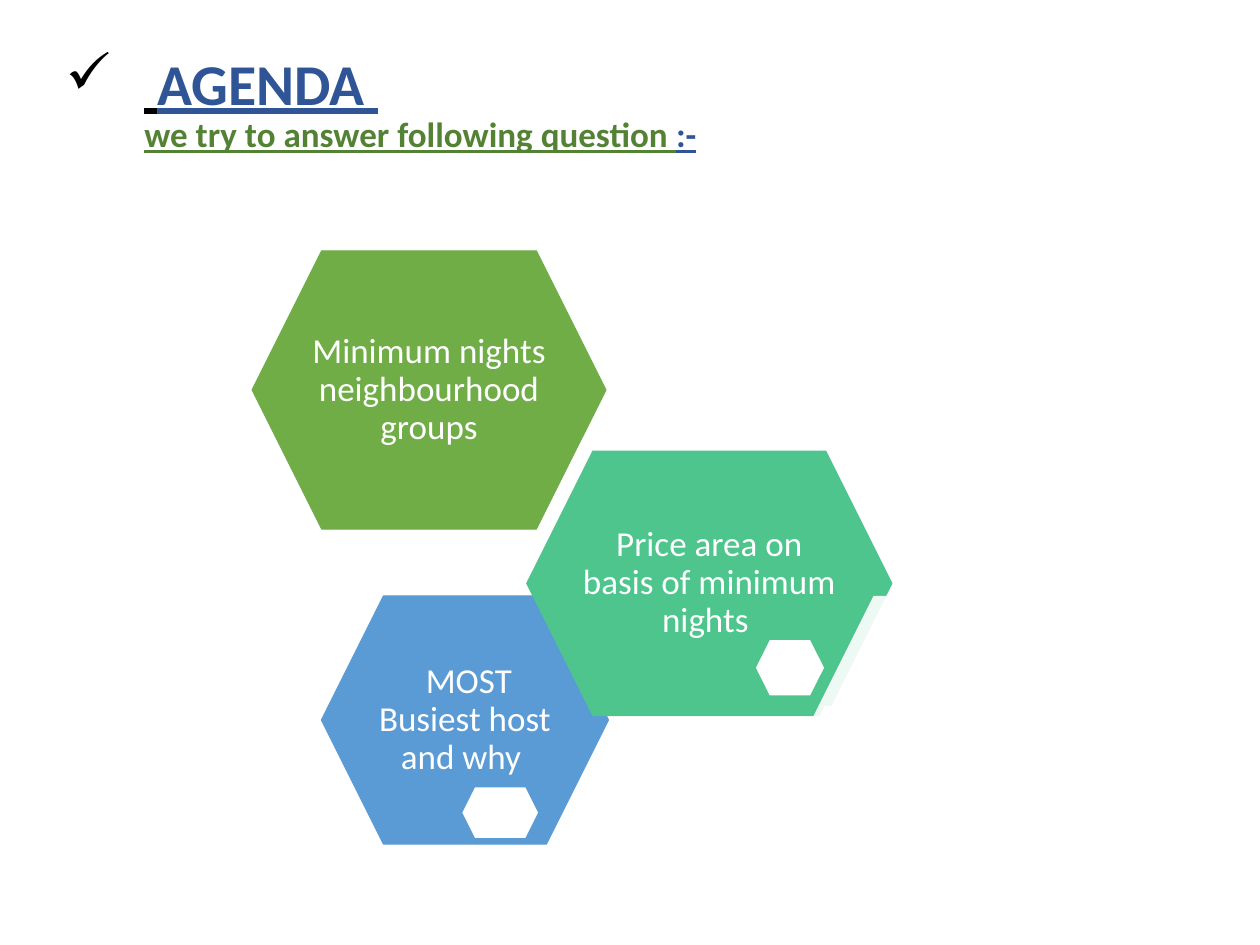
"""Build the agenda slide with its cluster of question hexagons."""
from dataclasses import dataclass

from lxml.etree import SubElement
from pptx import Presentation
from pptx.dml.color import RGBColor
from pptx.dml.fill import FillFormat
from pptx.enum.shapes import MSO_SHAPE
from pptx.enum.text import MSO_ANCHOR, MSO_AUTO_SIZE, PP_ALIGN
from pptx.oxml.ns import qn
from pptx.slide import Slide
from pptx.util import Pt

FONT = "Calibri"
WHITE = "FFFFFF"
NAVY = "2F5597"
GREEN = "548235"


@dataclass(frozen=True)
class Hexagon:
    left: float
    top: float
    width: float
    height: float
    color: str = WHITE
    question: str = ""
    opacity: int = 100


@dataclass(frozen=True)
class Phrase:
    wording: str
    size: int
    color: str


HEXAGONS = [
    Hexagon(183.6, 340.56, 164.16, 141.84, "5B9BD5", " MOST Busiest host and why "),
    Hexagon(264.24, 450, 43.2, 28.8),
    Hexagon(300.96, 257.76, 208.8, 151.2, "4DC58D", "Price area on basis of minimum nights "),
    Hexagon(432, 365.76, 38.88, 31.68),
    Hexagon(463.68, 340.56, 164.16, 141.84, opacity=90),
    Hexagon(467.28, 403.2, 19.44, 16.56),
    Hexagon(144, 143.28, 202.32, 159.12, "70AD47", "Minimum nights neighbourhood groups"),
]

HEADING = [
    Phrase(" ", 33, "000000"),
    Phrase("AGENDA ", 33, NAVY),
    Phrase("we try to answer following question ", 20, GREEN),
    Phrase(":-", 20, NAVY),
]


def rgb(color: str) -> RGBColor:
    return RGBColor.from_string(color)


def paint(fill: FillFormat, color: str) -> None:
    fill.solid()
    fill.fore_color.rgb = rgb(color)


def draw_hexagon(slide: Slide, hexagon: Hexagon) -> None:
    shape = slide.shapes.add_shape(
        MSO_SHAPE.HEXAGON,
        Pt(hexagon.left), Pt(hexagon.top), Pt(hexagon.width), Pt(hexagon.height),
    )
    shape.adjustments[0] = 0.25
    shape.shadow.inherit = False
    paint(shape.fill, hexagon.color)
    if hexagon.opacity < 100:
        tint = shape.fill._xPr.find(".//" + qn("a:srgbClr"))
        SubElement(tint, qn("a:alpha"), val=str(hexagon.opacity * 1000))
    if not hexagon.question:
        shape.line.fill.background()
        return
    paint(shape.line.fill, hexagon.color)
    shape.line.width = Pt(0.5)
    frame = shape.text_frame
    frame.word_wrap = True
    frame.vertical_anchor = MSO_ANCHOR.MIDDLE
    frame.margin_left = frame.margin_right = 0
    frame.margin_top = frame.margin_bottom = Pt(2)
    question = frame.paragraphs[0]
    question.text = hexagon.question
    question.alignment = PP_ALIGN.CENTER
    question.line_spacing = 0.9
    question.font.name = FONT
    question.font.size = Pt(20)
    question.font.color.rgb = rgb(WHITE)


def write_heading(slide: Slide) -> None:
    title = slide.shapes.title
    title.left, title.top, title.width, title.height = Pt(30.24), Pt(12.24), Pt(414), Pt(95.76)
    frame = title.text_frame
    frame.auto_size = MSO_AUTO_SIZE.NONE
    frame.word_wrap = True
    frame.vertical_anchor = MSO_ANCHOR.MIDDLE
    heading = frame.paragraphs[0]
    heading.alignment = PP_ALIGN.LEFT
    properties = heading._p.get_or_add_pPr()
    properties.set("marL", str(Pt(45)))
    properties.set("indent", str(Pt(-45)))
    SubElement(properties, qn("a:buChar"), char="✓")
    heading.line_spacing = 0.9
    heading.font.name = FONT
    heading.font.bold = True
    heading.font.underline = True
    for phrase in HEADING:
        if phrase.color == GREEN:
            heading.add_line_break()
        run = heading.add_run()
        run.text = phrase.wording
        run.font.size = Pt(phrase.size)
        run.font.color.rgb = rgb(phrase.color)


def main() -> None:
    presentation = Presentation()
    presentation.slide_width, presentation.slide_height = Pt(720), Pt(540)
    slide = presentation.slides.add_slide(presentation.slide_layouts[5])
    write_heading(slide)
    for hexagon in HEXAGONS:
        draw_hexagon(slide, hexagon)
    presentation.save("out.pptx")


if __name__ == "__main__":
    main()
